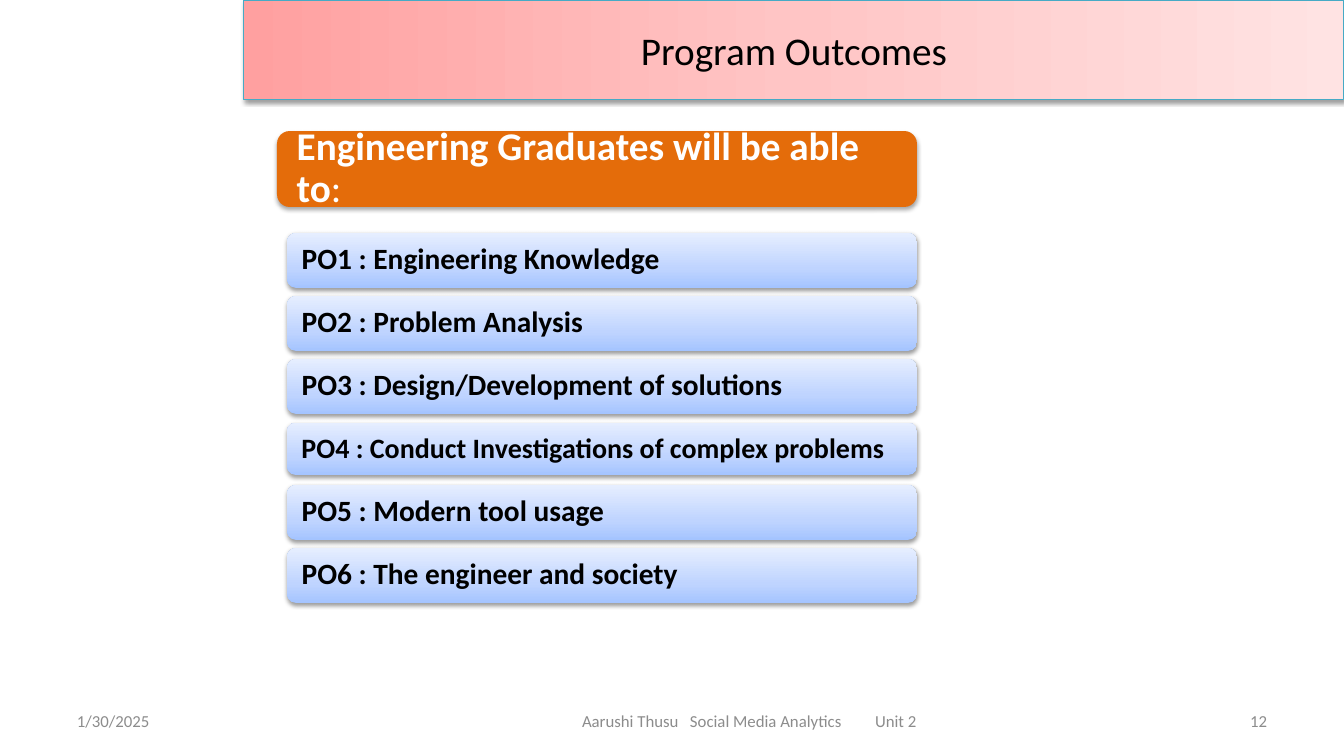
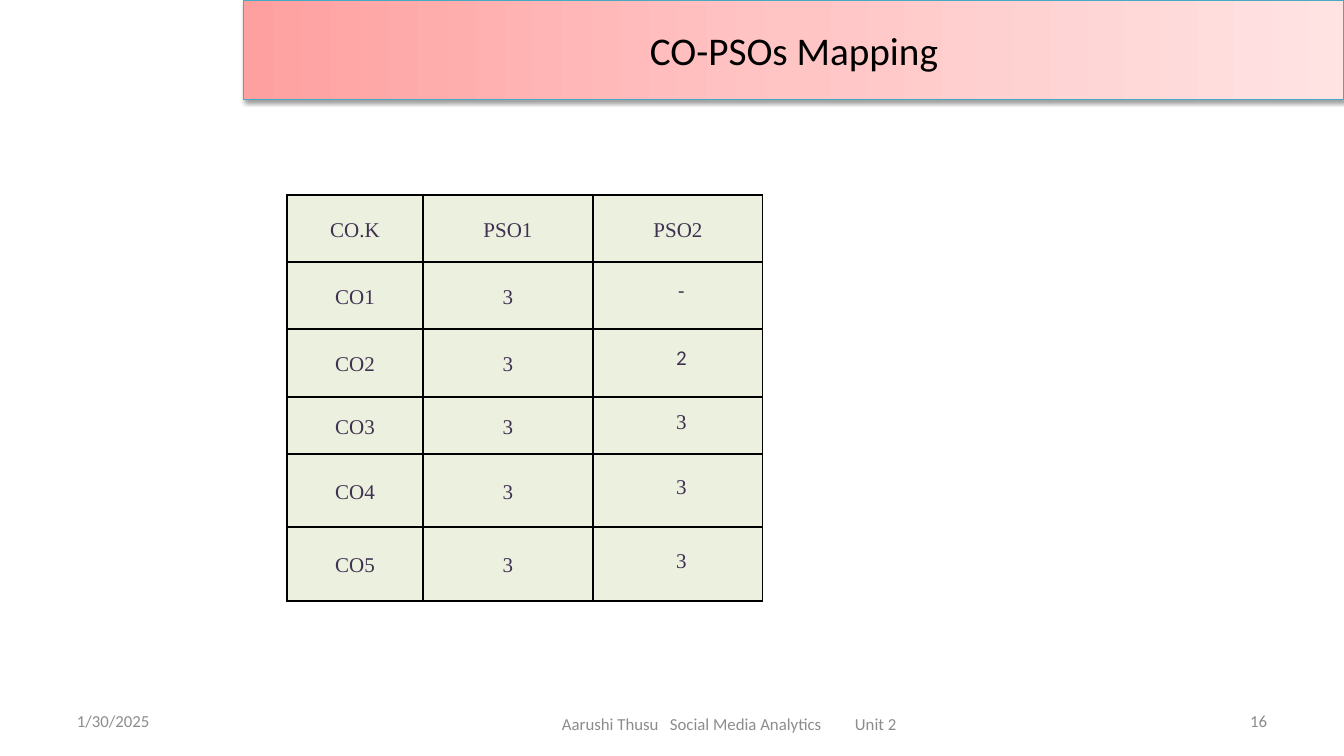
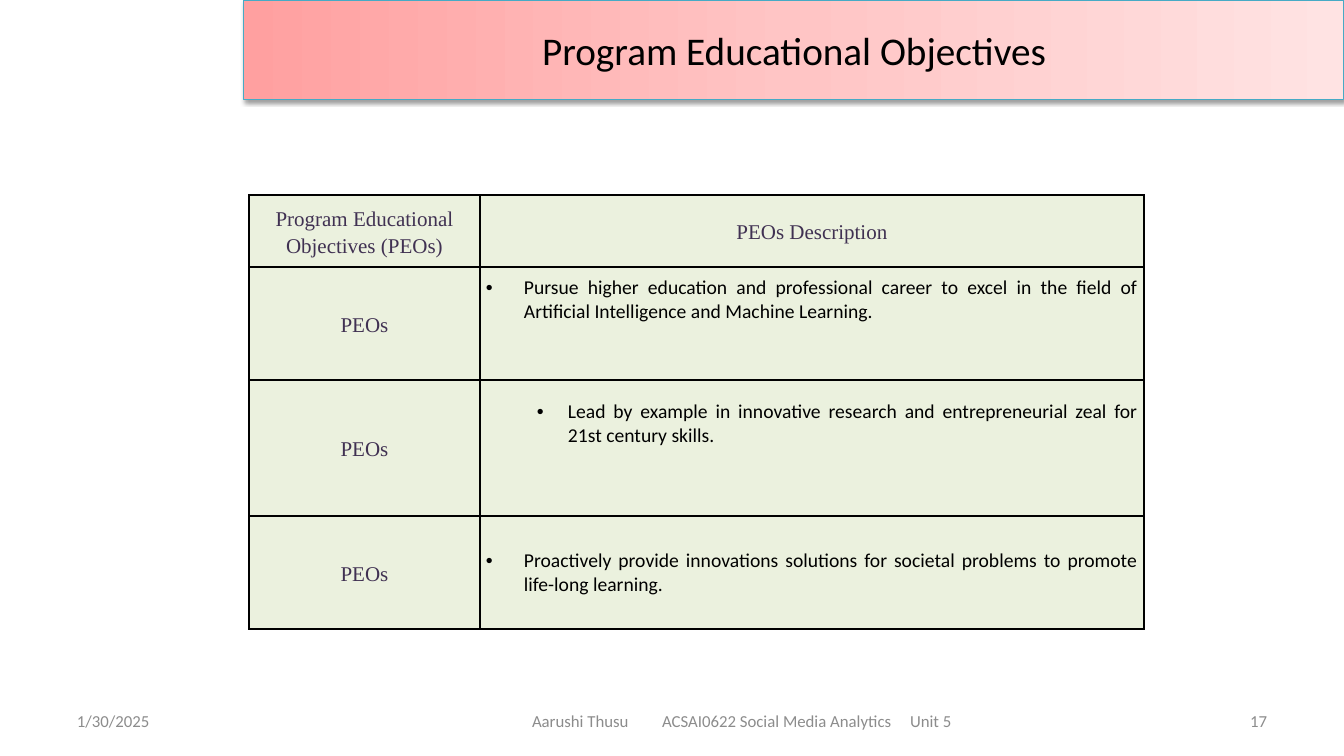
from dataclasses import dataclass, replace

from lxml import etree
from pptx import Presentation
from pptx.dml.color import RGBColor
from pptx.enum.shapes import MSO_SHAPE
from pptx.enum.text import MSO_ANCHOR, PP_ALIGN
from pptx.oxml.ns import qn
from pptx.util import Emu, Pt

ROUND = MSO_SHAPE.ROUNDED_RECTANGLE
MIDDLE = MSO_ANCHOR.MIDDLE
LEFT, CENTER, RIGHT = PP_ALIGN.LEFT, PP_ALIGN.CENTER, PP_ALIGN.RIGHT
SPREAD = PP_ALIGN.JUSTIFY
SCALE = 914400 / 100.8

INK = {
    "black": "000000", "white": "FFFFFF", "gray": "8C8C8C",
    "plum": "403152", "pale": "EBF1DE", "orange": "E46C0A", "teal": "46AAC5",
}
ROSE = ((0, "FFA0A0"), (50, "FFC5C5"), (100, "FFE3E3"))
SKY = ((0, "A4C4FF"), (35, "BFD4FF"), (100, "E6EEFF"))


@dataclass(frozen=True)
class Style:
    font: str = "Calibri"
    size: int = 12
    color: str = "gray"
    align: int = LEFT
    bold: bool = False
    line: object = None
    indent: int = 0
    hang: int = 0
    bullet: bool = False
    tabs: tuple = ()


@dataclass(frozen=True)
class Box:
    left: int
    top: int
    width: int
    height: int


@dataclass(frozen=True)
class Cell:
    text: str
    style: Style
    bottom: int = 0


@dataclass(frozen=True)
class Foot:
    box: Box
    inset: int
    tabs: tuple
    words: tuple


@dataclass(frozen=True)
class Page:
    title: str
    number: str
    foot: Foot


SMALL = Style()
TITLE = Style(size=28, color="black", align=CENTER)
BANNER = Style(size=28, color="white", bold=True, line=0.9)
BAR = Style(size=21, color="black", bold=True, line=0.9)
LABEL = Style("Times New Roman", 15, "plum", CENTER, line=1.15)
TIGHT = replace(LABEL, line=Pt(12.3), indent=7)
PLAIN = replace(TIGHT, font="Calibri")
POINT = Style(size=14, color="black", align=SPREAD, indent=38, hang=-38, bullet=True)
DEEP = replace(POINT, indent=82, hang=-31)

UNIT = ("Aarushi Thusu", "Social Media Analytics", "Unit 2")
COURSE = ("Aarushi Thusu", "ACSAI0622 Social Media Analytics", "Unit 5")
GOALS = Page("Program Outcomes", "12",
             Foot(Box(512, 701, 475, 40), 70, (108, 293), UNIT))
MAPPING = Page("CO-PSOs Mapping", "16",
               Foot(Box(502, 705, 456, 37), 60, (108, 293), UNIT))
AIMS = Page("Program Educational Objectives", "17",
            Foot(Box(519, 701, 448, 40), 13, (130, 378), COURSE))

BARS = (
    "PO1 : Engineering Knowledge",
    "PO2 : Problem Analysis",
    "PO3 : Design/Development of solutions",
    "PO4 : Conduct Investigations of complex problems",
    "PO5 : Modern tool usage",
    "PO6 : The engineer and society",
)
SCORES = (("-", PLAIN), ("2", PLAIN), ("3", TIGHT), ("3", TIGHT), ("3", TIGHT))
NOTES = (
    Cell("Pursue higher education and professional career to excel in the "
         "field of Artificial Intelligence and Machine Learning.", POINT, 48),
    Cell("Lead by example in innovative research and entrepreneurial "
         "zeal for 21st century skills.", DEEP, 48),
    Cell("Proactively provide innovations solutions for societal "
         "problems to promote life-long learning.", POINT),
)


def px(value: int) -> Emu:
    return Emu(round(value * SCALE))


def tone(name: str) -> RGBColor:
    return RGBColor.from_string(INK[name])


def place(box: Box) -> tuple:
    return px(box.left), px(box.top), px(box.width), px(box.height)


def node(parent, tag: str, **attrs):
    return etree.SubElement(parent, qn(tag), {k: str(v) for k, v in attrs.items()})


def write(frame, text: str, style: Style) -> None:
    frame.word_wrap = True
    frame.text = text
    para = frame.paragraphs[0]
    props = para._p.get_or_add_pPr()
    if style.indent:
        props.set("marL", str(px(style.indent)))
        props.set("indent", str(px(style.hang)))
    if style.bullet:
        node(props, "a:buFont", typeface="Arial")
        node(props, "a:buChar", char="•")
    if style.tabs:
        stops = node(props, "a:tabLst")
        for stop in style.tabs:
            node(stops, "a:tab", pos=px(stop), algn="l")
    para.alignment = style.align
    if style.line:
        para.line_spacing = style.line
    for run in para.runs:
        dress(run, style)


def dress(run, style: Style) -> None:
    run.font.name = style.font
    run.font.size = Pt(style.size)
    run.font.bold = style.bold
    run.font.color.rgb = tone(style.color)


def pad(frame, side: int, edge: int = 0) -> None:
    frame.margin_left = frame.margin_right = px(side)
    frame.margin_top = frame.margin_bottom = px(edge)
    frame.vertical_anchor = MIDDLE


def blend(shape, stops: tuple, angle: int) -> None:
    shape.fill.gradient()
    shape.fill.gradient_angle = angle
    ramp = shape._element.spPr.find(qn("a:gradFill")).find(qn("a:gsLst"))
    for old in list(ramp):
        ramp.remove(old)
    for spot, color in stops:
        node(node(ramp, "a:gs", pos=spot * 1000), "a:srgbClr", val=color)


def shade(shape, alpha: int, drop: float) -> None:
    shape.shadow.inherit = False
    effect = shape._element.spPr.find(qn("a:effectLst"))
    cast = node(effect, "a:outerShdw", blurRad=Pt(3.1), dist=Pt(drop),
                dir=5400000, rotWithShape=0)
    color = node(cast, "a:srgbClr", val=INK["black"])
    node(color, "a:alpha", val=alpha * 1000)


def label(slide, box: Box, text: str, style: Style):
    frame = slide.shapes.add_textbox(*place(box)).text_frame
    write(frame, text, style)
    frame.vertical_anchor = MIDDLE
    return frame


def start(deck, page: Page):
    slide = deck.slides.add_slide(deck.slide_layouts[5])
    title = slide.shapes.title
    title.left, title.top, title.width, title.height = place(Box(244, 0, 1100, 100))
    blend(title, ROSE, 0)
    title.line.color.rgb = tone("teal")
    title.line.width = Pt(0.75)
    shade(title, 38, 1.6)
    write(title.text_frame, page.title, TITLE)
    title.text_frame.vertical_anchor = MIDDLE
    label(slide, Box(67, 701, 313, 40), "1/30/2025", SMALL)
    foot = page.foot
    frame = label(slide, foot.box, "\t".join(foot.words),
                  replace(SMALL, tabs=foot.tabs))
    frame.margin_left, frame.margin_right = px(foot.inset), 0
    label(slide, Box(964, 701, 313, 40), page.number, replace(SMALL, align=RIGHT))
    return slide


def panel(slide, box: Box, text: str, style: Style, side: int):
    shape = slide.shapes.add_shape(ROUND, *place(box))
    shape.line.fill.background()
    pad(shape.text_frame, side)
    write(shape.text_frame, text, style)
    return shape


def edge(cell) -> None:
    props = cell._tc.get_or_add_tcPr()
    for side in ("a:lnL", "a:lnR", "a:lnT", "a:lnB"):
        line = node(props, side, w=Pt(1))
        node(node(line, "a:solidFill"), "a:srgbClr", val=INK["black"])


def grid(slide, left: int, top: int, widths: tuple, heights: tuple, rows: list) -> None:
    box = Box(left, top, sum(widths), sum(heights))
    table = slide.shapes.add_table(len(heights), len(widths), *place(box)).table
    table.first_row = table.horz_banding = False
    for col, width in zip(table.columns, widths):
        col.width = px(width)
    for row, height, items in zip(table.rows, heights, rows):
        row.height = px(height)
        for cell, item in zip(row.cells, items):
            edge(cell)
            cell.fill.solid()
            cell.fill.fore_color.rgb = tone("pale")
            pad(cell, 6)
            cell.margin_bottom = px(item.bottom)
            write(cell.text_frame, item.text, item.style)


def draw_goals(deck) -> None:
    slide = start(deck, GOALS)
    head = panel(slide, Box(277, 131, 640, 76),
                 "Engineering Graduates will be able to", BANNER, 16)
    head.fill.solid()
    head.fill.fore_color.rgb = tone("orange")
    shade(head, 35, 1.8)
    colon = head.text_frame.paragraphs[0].add_run()
    colon.text = ":"
    dress(colon, replace(BANNER, bold=False))
    slot, step = 55, 63
    for i, text in enumerate(BARS):
        long = len(text) > 40
        height = 52 if long else slot
        top = 233 + i * step + (slot - height) // 2
        style = replace(BAR, size=20) if long else BAR
        bar = panel(slide, Box(287, top, 630, height), text, style, 12)
        blend(bar, SKY, 90)
        shade(bar, 38, 1.6)


def draw_map(deck) -> None:
    slide = start(deck, MAPPING)
    rows = [[Cell(text, LABEL) for text in ("CO.K", "PSO1", "PSO2")]]
    for i, (score, style) in enumerate(SCORES, 1):
        rows.append([Cell(f"CO{i}", LABEL), Cell("3", LABEL), Cell(score, style)])
    grid(slide, 287, 195, (136, 170, 170), (67, 67, 68, 57, 73, 74), rows)


def draw_aims(deck) -> None:
    slide = start(deck, AIMS)
    rows = [[Cell("Program Educational Objectives (PEOs)", LABEL),
             Cell("PEOs Description", LABEL)]]
    rows += [[Cell("PEOs", LABEL), note] for note in NOTES]
    grid(slide, 249, 195, (231, 664), (72, 113, 136, 113), rows)


def main() -> None:
    deck = Presentation()
    deck.slide_width, deck.slide_height = px(1344), px(756)
    draw_goals(deck)
    draw_map(deck)
    draw_aims(deck)
    deck.save("out.pptx")


if __name__ == "__main__":
    main()
